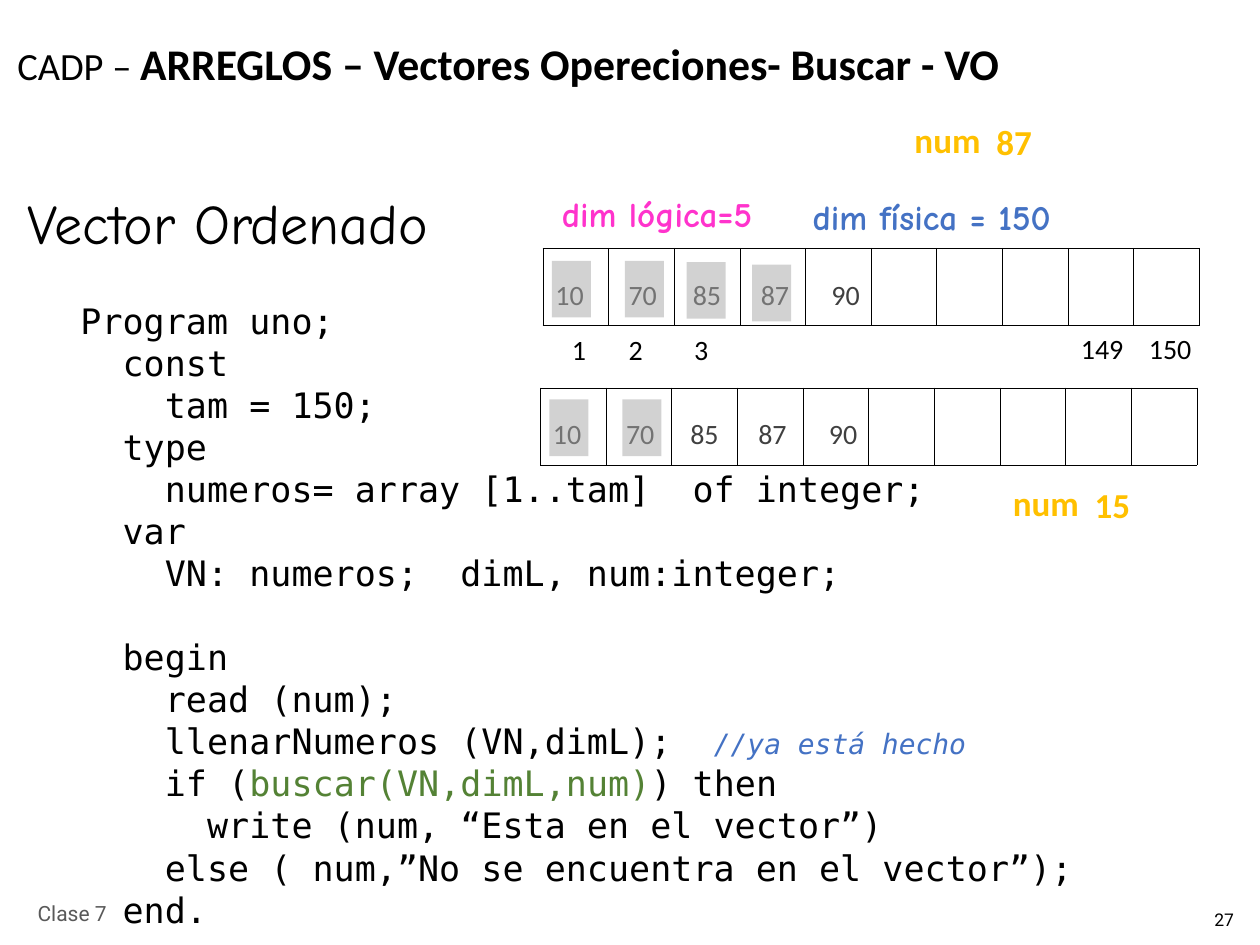
from lxml import etree
from pptx import Presentation
from pptx.dml.color import RGBColor
from pptx.enum.shapes import MSO_SHAPE
from pptx.enum.text import MSO_ANCHOR, PP_ALIGN
from pptx.oxml.ns import qn
from pptx.util import Inches, Pt

RECT = MSO_SHAPE.RECTANGLE
TOP, MIDDLE, BOTTOM = MSO_ANCHOR.TOP, MSO_ANCHOR.MIDDLE, MSO_ANCHOR.BOTTOM
LEFT, CENTER = PP_ALIGN.LEFT, PP_ALIGN.CENTER
BLACK, GRAY, BLUE, GOLD, GREEN = "000000", "404040", "4472C4", "FFC000", "548235"
CODE_FONT = "DejaVu Sans Mono"

prs = Presentation()
prs.slide_width = Inches(10)
prs.slide_height = Inches(7.5)
s = prs.slides.add_slide(prs.slide_layouts[6])


def add_run(p, text, size, font, color, bold=False, italic=False):
    r = p.add_run()
    r.text = text
    r.font.size = Pt(size)
    r.font.name = font
    r.font.bold = bold
    r.font.italic = italic
    r.font.color.rgb = RGBColor.from_string(color)


def add_text(x, y, w, h, runs, align=LEFT, anchor=TOP, spacing=None):
    tf = s.shapes.add_textbox(Inches(x), Inches(y), Inches(w), Inches(h)).text_frame
    tf.word_wrap = True
    tf.vertical_anchor = anchor
    p = tf.paragraphs[0]
    p.alignment = align
    p.line_spacing = spacing
    for run in runs:
        add_run(p, *run)
    return tf


add_text(0.04, 0.15, 8.82, 0.6, [
    ("CADP – ", 22, "Calibri", BLACK),
    ("ARREGLOS – Vectores Opereciones- Buscar - VO", 25, "Calibri", BLACK, True),
], anchor=BOTTOM, spacing=0.7)
add_text(0.12, 1.51, 4.28, 0.67, [("Vector Ordenado", 32, "Comic Neue", BLACK)], spacing=0.9)
add_text(6.2, 1.5, 2.39, 0.44, [("dim física = 150", 20, "Comic Neue", BLUE, True)], CENTER)
add_text(3.99, 1.48, 2.45, 0.44, [("dim lógica=5", 20, "Comic Neue", "FF33CC", True)], CENTER)

code = [
    [("Program uno;", 20, CODE_FONT, BLACK)],
    [("  const", 20, CODE_FONT, BLACK)],
    [("    tam = 150;", 20, CODE_FONT, BLACK)],
    [("  type", 20, CODE_FONT, BLACK)],
    [("    numeros= array [1..tam]  of integer;", 20, CODE_FONT, BLACK)],
    [("  var", 20, CODE_FONT, BLACK)],
    [("    VN: numeros;  dimL, num:integer;", 20, CODE_FONT, BLACK)],
    [("  begin", 20, CODE_FONT, BLACK)],
    [("    read (num);", 20, CODE_FONT, BLACK)],
    [("    llenarNumeros (VN,dimL);  ", 20, CODE_FONT, BLACK),
     ("//ya está hecho", 16, CODE_FONT, BLUE, False, True)],
    [("    if (", 20, CODE_FONT, BLACK),
     ("buscar(VN,dimL,num)", 20, CODE_FONT, GREEN),
     (") then", 20, CODE_FONT, BLACK)],
    [("      write (num, “Esta en el vector”)", 20, CODE_FONT, BLACK)],
    [("    else ( num,”No se encuentra en el vector”);", 20, CODE_FONT, BLACK)],
    [("  end.", 20, CODE_FONT, BLACK)],
]
tf = add_text(0.54, 2.33, 9.15, 5.1, code[0])
for line in code[1:]:
    p = tf.add_paragraph()
    if line[0][0] == "  begin":
        p.space_before = Pt(24)
    for run in line:
        add_run(p, *run)

value_boxes = [("10", 0, 0.61), ("70", 0.58, 0.48), ("85", 1.09, 0.48),
               ("87", 1.63, 0.48), ("90", 2.19, 0.48)]
vectors = [
    (4.31, 1.97, [(0.07, 0.1), (0.65, 0.1), (1.14, 0.11), (1.66, 0.13)]),
    (4.29, 3.08, [(0.07, 0.09), (0.65, 0.09)]),
]
for x, y, shades in vectors:
    table = s.shapes.add_table(1, 10, Inches(x), Inches(y), Inches(5.21), Inches(0.61)).table
    table.first_row = False
    table.horz_banding = False
    for cell in table.iter_cells():
        tc_pr = cell._tc.get_or_add_tcPr()
        for side in ("a:lnL", "a:lnR", "a:lnT", "a:lnB"):
            ln = etree.SubElement(tc_pr, qn(side), w=str(Pt(0.45)))
            fill = etree.SubElement(ln, qn("a:solidFill"))
            etree.SubElement(fill, qn("a:srgbClr"), val=BLACK)
        cell.fill.background()
    for value, dx, w in value_boxes:
        add_text(x + dx, y + 0.18, w, 0.37, [(value, 16, "Calibri", GRAY)])
    for dx, dy in shades:
        sp = s.shapes.add_shape(RECT, Inches(x + dx), Inches(y + dy), Inches(0.31), Inches(0.45))
        sp.shadow.inherit = False
        sp.line.fill.background()
        sp.fill.solid()
        sp.fill.fore_color.rgb = RGBColor.from_string("A6A6A6")
        color = sp.fill._xPr.find(qn("a:solidFill"))[0]
        etree.SubElement(color, qn("a:alpha"), val="50000")

for index, x, y, w in [("1", 4.44, 2.59, 0.38), ("2", 4.89, 2.59, 0.38), ("3", 5.41, 2.59, 0.38),
                       ("149", 8.48, 2.58, 0.58), ("150", 9.02, 2.58, 0.58)]:
    add_text(x, y, w, 0.37, [(index, 16, "Calibri", BLACK)])

for number, x, y in [("87", 7.16, 0.89), ("15", 7.94, 3.77)]:
    add_text(x, y, 0.77, 0.44, [("num", 20, "Calibri", GOLD, True)])
    add_text(x + 0.65, y + 0.02, 0.57, 0.44, [(number, 20, "Calibri", GOLD, True)])

add_text(0.2, 7.05, 2.33, 0.4, [("Clase 7", 12, "Roboto", "595959")], anchor=MIDDLE)
add_text(9.54, 7.09, 0.46, 0.41, [("27", 10, "Roboto", BLACK)], anchor=MIDDLE)

prs.save("out.pptx")
